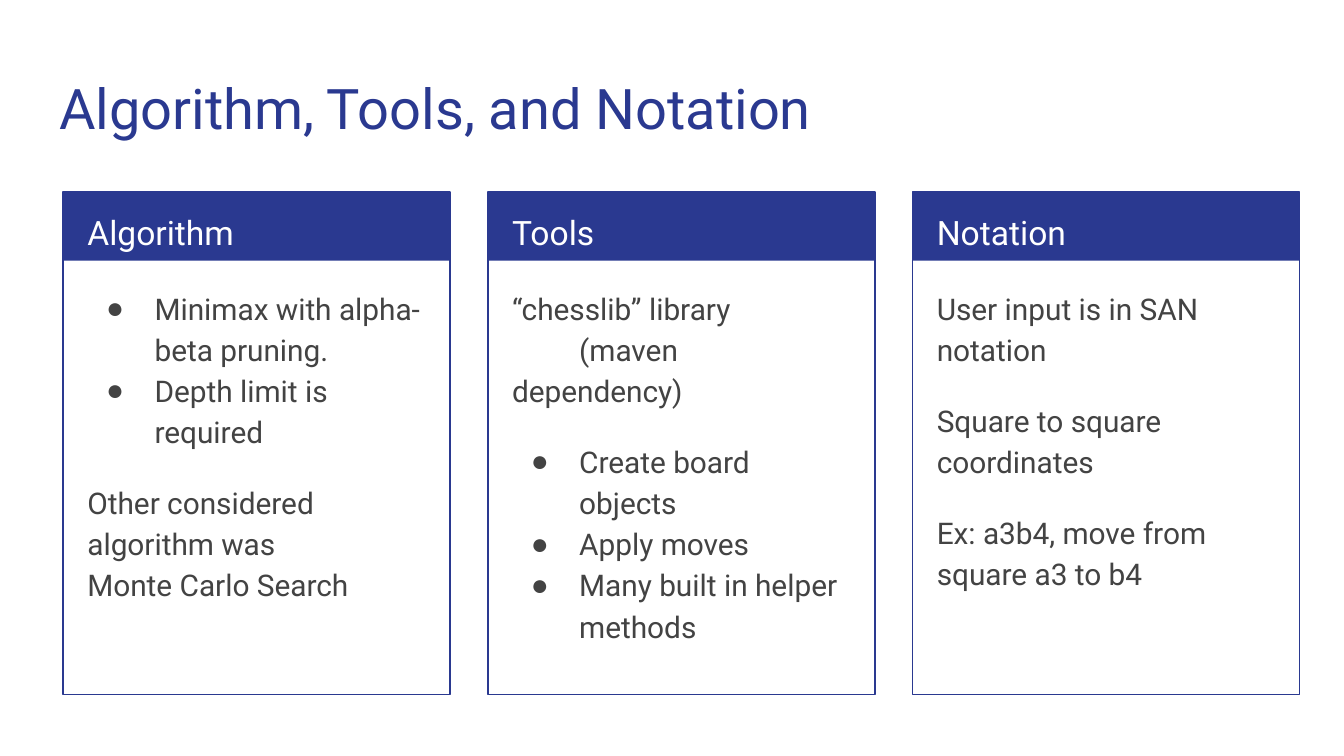
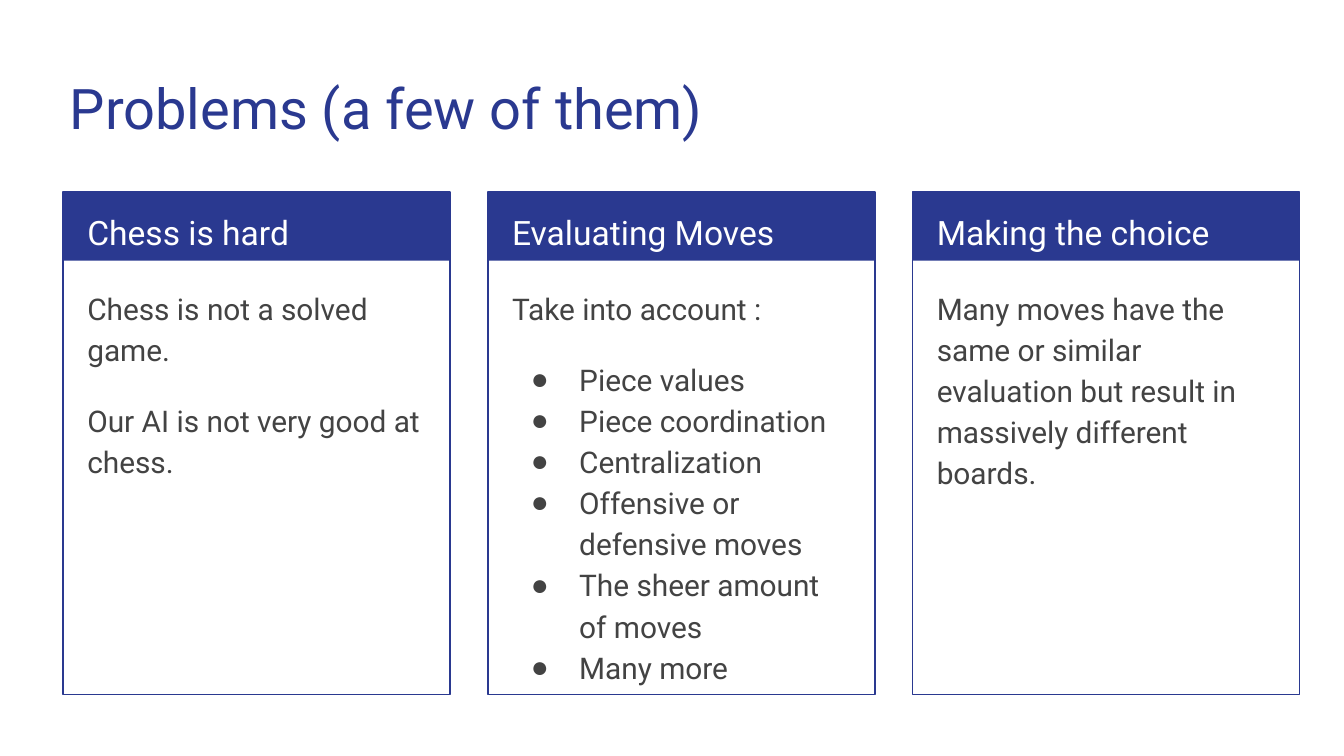
from copy import deepcopy
from dataclasses import dataclass

from lxml import etree
from pptx import Presentation
from pptx import util as u
from pptx.dml.color import RGBColor
from pptx.enum import shapes, text
from pptx.oxml import ns


@dataclass(frozen=True)
class Theme:
    font: str = "Roboto"
    navy: str = "2A3990"
    white: str = "FFFFFF"
    gray: str = "434343"
    title_size: int = 30
    heading_size: int = 18
    body_size: int = 16
    line_spacing: float = 1.15
    frame_width: float = 0.75


@dataclass(frozen=True)
class Line:
    text: str
    bullet: bool = False
    before: int = 0
    tab: float = 0


THEME = Theme()
COLUMN_LEFT, COLUMN_PITCH, COLUMN_WIDTH = 0.47, 3.16, 2.88
COLUMN_TOP, BAND_HEIGHT, FRAME_HEIGHT = 1.43, 0.51, 3.74
TEXT_OFFSET = 0.08
# Heading and body placeholder numbers for each column
COLUMN_PLACEHOLDERS = [(1, 2), (3, 4), (13, 14)]

SLIDES = [
    ("Algorithm, Tools, and Notation", 0.34, [
        ("Algorithm", [
            Line("Minimax with alpha-beta pruning.", bullet=True),
            Line("Depth limit is required", bullet=True),
            Line("Other considered algorithm was\nMonte Carlo Search", before=16),
        ]),
        ("Tools", [
            Line("“chesslib” library\n\t(maven dependency)", tab=0.44),
            Line("Create board objects", bullet=True, before=16),
            Line("Apply moves", bullet=True),
            Line("Many built in helper methods", bullet=True),
        ]),
        ("Notation", [
            Line("User input is in SAN notation"),
            Line("Square to square coordinates", before=16),
            Line("Ex: a3b4, move from square a3 to b4", before=16),
        ]),
    ]),
    ("Problems (a few of them)", 0.42, [
        ("Chess is hard", [
            Line("Chess is not a solved game."),
            Line("Our AI is not very good at chess.", before=16),
        ]),
        ("Evaluating Moves", [
            Line("Take into account :"),
            Line("Piece values", bullet=True, before=16),
            Line("Piece coordination", bullet=True),
            Line("Centralization", bullet=True),
            Line("Offensive or defensive moves", bullet=True),
            Line("The sheer amount of moves", bullet=True),
            Line("Many more", bullet=True),
        ]),
        ("Making the choice", [
            Line("Many moves have the same or similar evaluation "
                 "but result in massively different boards."),
        ]),
    ]),
]


def three_column_layout(presentation):
    """Extend the two-column comparison layout with a third column."""
    layout = presentation.slide_layouts.get_by_name("Comparison")
    sources = {shape.placeholder_format.idx: shape for shape in layout.placeholders}
    for source, new in zip(COLUMN_PLACEHOLDERS[1], COLUMN_PLACEHOLDERS[2]):
        element = deepcopy(sources[source].element)
        element.xpath(".//p:ph")[0].set("idx", str(new))
        element.xpath(".//p:cNvPr")[0].set("id", str(100 + new))
        sources[source].element.getparent().append(element)
    return layout


def place(shape, left, top, width, height):
    shape.left, shape.top = u.Inches(left), u.Inches(top)
    shape.width, shape.height = u.Inches(width), u.Inches(height)


def set_bullet_and_tab(paragraph, line):
    properties = paragraph._p.get_or_add_pPr()
    margin, first = (0.5, -0.36) if line.bullet else (0, 0)
    properties.set("marL", str(u.Inches(margin)))
    properties.set("indent", str(u.Inches(first)))
    if line.bullet:
        color = etree.SubElement(properties, ns.qn("a:buClr"))
        etree.SubElement(color, ns.qn("a:srgbClr"), val=THEME.gray)
        etree.SubElement(properties, ns.qn("a:buChar"), char="●")
    else:
        etree.SubElement(properties, ns.qn("a:buNone"))
    if line.tab:
        tabs = etree.SubElement(properties, ns.qn("a:tabLst"))
        etree.SubElement(tabs, ns.qn("a:tab"), pos=str(u.Inches(line.tab)), algn="l")


def add_run(paragraph, content, size, color):
    run = paragraph.add_run()
    run.text = content
    run.font.name = THEME.font
    run.font.size = u.Pt(size)
    run.font.bold = False
    run.font.color.rgb = RGBColor.from_string(color)


def write_text(shape, lines, size, color, spacing=THEME.line_spacing):
    frame = shape.text_frame
    frame.word_wrap = True
    frame.auto_size = text.MSO_AUTO_SIZE.NONE
    frame.vertical_anchor = text.MSO_ANCHOR.TOP
    frame.margin_left = frame.margin_right = u.Inches(0.1)
    frame.margin_top = frame.margin_bottom = u.Inches(0.1)
    for index, line in enumerate(lines):
        paragraph = frame.add_paragraph() if index else frame.paragraphs[0]
        paragraph.alignment = text.PP_ALIGN.LEFT
        paragraph.line_spacing = spacing
        paragraph.space_before = u.Pt(line.before)
        paragraph.space_after = u.Pt(0)
        set_bullet_and_tab(paragraph, line)
        for part_index, part in enumerate(line.text.split("\n")):
            if part_index:
                paragraph.add_line_break()
            add_run(paragraph, part, size, color)


def add_box(slide, left, height, filled):
    box = slide.shapes.add_shape(
        shapes.MSO_SHAPE.RECTANGLE, u.Inches(left), u.Inches(COLUMN_TOP),
        u.Inches(COLUMN_WIDTH), u.Inches(height))
    box.shadow.inherit = False
    navy = RGBColor.from_string(THEME.navy)
    if filled:
        box.fill.solid()
        box.fill.fore_color.rgb = navy
        box.line.fill.background()
    else:
        box.fill.background()
        box.line.color.rgb = navy
        box.line.width = u.Pt(THEME.frame_width)


def bring_to_front(shape):
    shape.element.getparent().append(shape.element)


def add_column(slide, index, heading, lines):
    left = COLUMN_LEFT + index * COLUMN_PITCH
    add_box(slide, left, BAND_HEIGHT, filled=True)
    add_box(slide, left, FRAME_HEIGHT, filled=False)

    placeholders = {shape.placeholder_format.idx: shape for shape in slide.placeholders}
    heading_shape, body_shape = (placeholders[idx] for idx in COLUMN_PLACEHOLDERS[index])
    place(heading_shape, left + TEXT_OFFSET, COLUMN_TOP, 2.73, 0.5)
    write_text(heading_shape, [Line(heading)], THEME.heading_size, THEME.white)
    place(body_shape, left + TEXT_OFFSET, 2.02, 2.71, 3.06)
    write_text(body_shape, lines, THEME.body_size, THEME.gray)
    bring_to_front(heading_shape)
    bring_to_front(body_shape)


def add_column_slide(presentation, layout, title, title_left, columns):
    slide = presentation.slides.add_slide(layout)
    place(slide.shapes.title, title_left, 0.45, 9.32, 0.66)
    write_text(slide.shapes.title, [Line(title)], THEME.title_size, THEME.navy, spacing=1.0)
    for index, (heading, lines) in enumerate(columns):
        add_column(slide, index, heading, lines)


def main():
    presentation = Presentation()
    presentation.slide_width = u.Inches(10)
    presentation.slide_height = u.Inches(10 * 9 / 16)
    layout = three_column_layout(presentation)
    for title, title_left, columns in SLIDES:
        add_column_slide(presentation, layout, title, title_left, columns)
    presentation.save("out.pptx")


if __name__ == "__main__":
    main()
